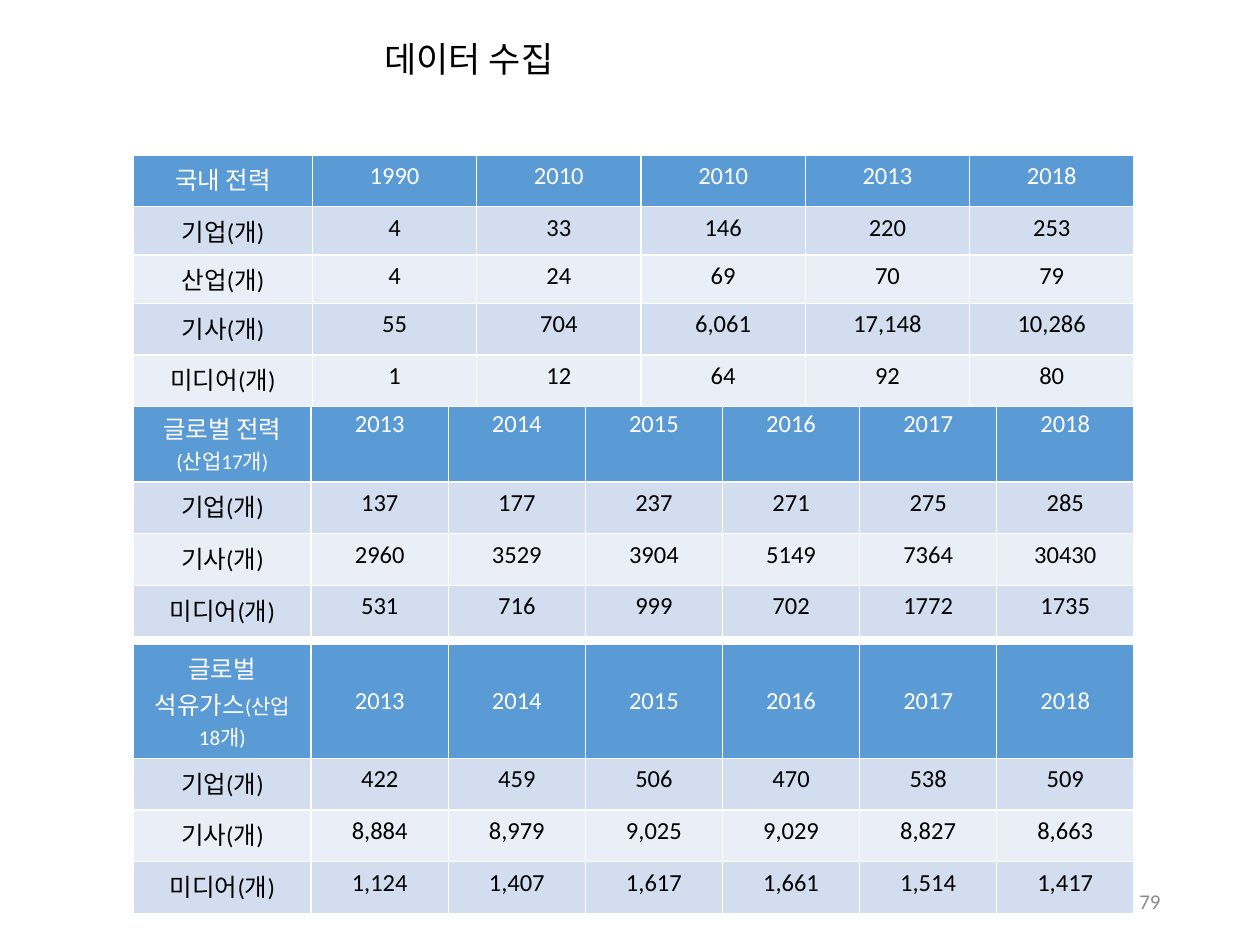
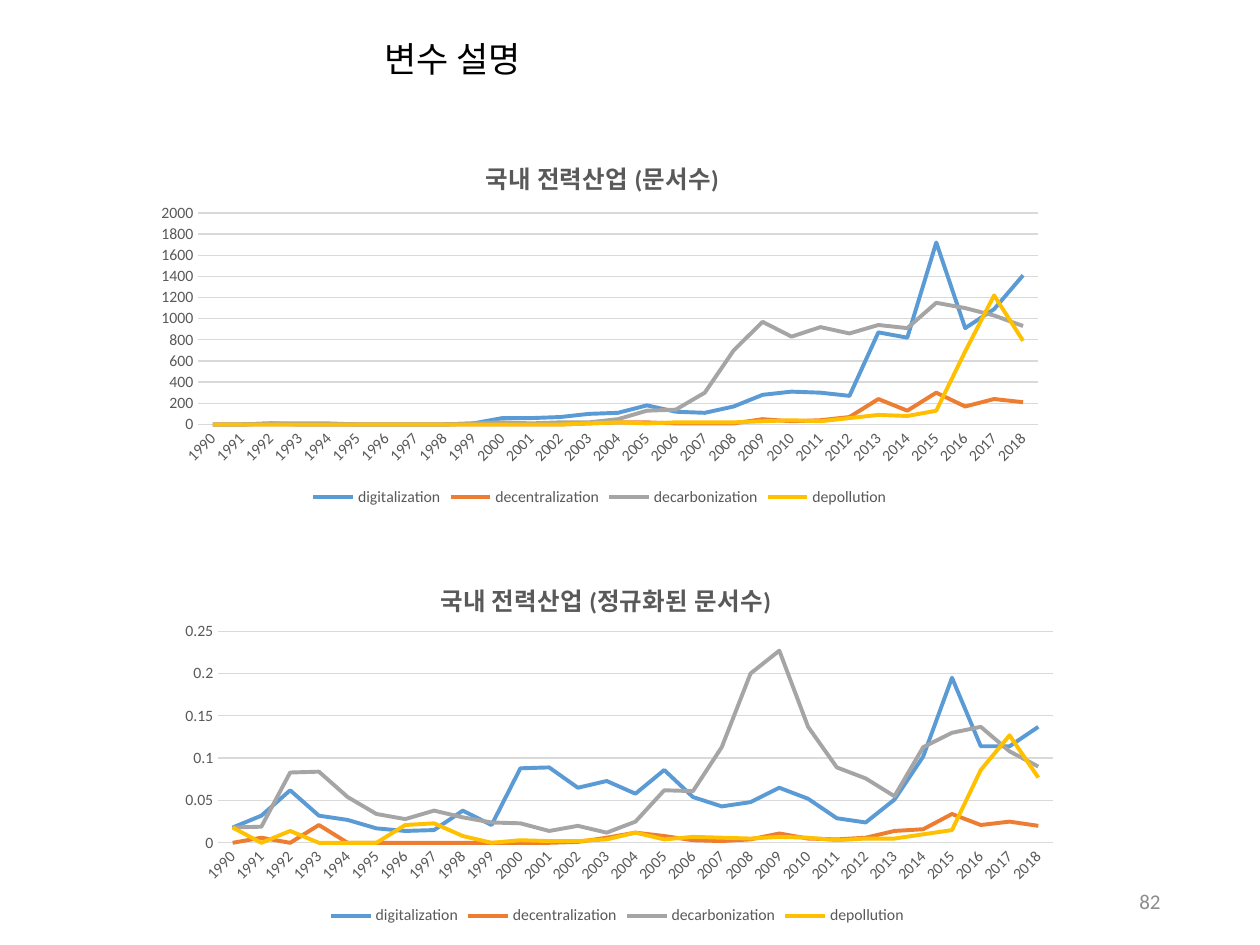
import pptx
import pptx.chart.data
import pptx.dml.color
import pptx.enum.chart
import pptx.enum.text
import pptx.oxml
import pptx.oxml.ns
import pptx.util

Inches = pptx.util.Inches
Align = pptx.enum.text.PP_ALIGN
Anchor = pptx.enum.text.MSO_ANCHOR
Tick = pptx.enum.chart.XL_TICK_MARK
hue = pptx.dml.color.RGBColor.from_string

BLUE, WHITE, BLACK = "5B9BD5", "FFFFFF", "000000"
BANDS = ["D2DEEF", "EAEFF7"]
GREY, RULE, PALE = "595959", "D9D9D9", "8C8C8C"
LINES = [BLUE, "ED7D31", "A5A5A5", "FFC000"]


def style(font, size, color, name="Calibri", bold=False):
    font.size = pptx.util.Pt(size)
    font.color.rgb = hue(color)
    font.name = name
    font.bold = bold


def place(parent, spot, **fracs):
    """Give a chart part a fixed spot, in fractions of the chart."""
    for old in parent.findall(pptx.oxml.ns.qn("c:layout")):
        parent.remove(old)
    inner = '<c:layoutTarget val="inner"/>' if "w" in fracs else ""
    modes = "".join(f'<c:{key}Mode val="edge"/>' for key in "xy")
    sizes = "".join(f'<c:{key} val="{val}"/>' for key, val in fracs.items())
    parent.insert(spot, pptx.oxml.parse_xml(
        f'<c:layout {pptx.oxml.ns.nsdecls("c")}><c:manualLayout>'
        f"{inner}{modes}{sizes}</c:manualLayout></c:layout>"))


deck = pptx.Presentation()
deck.slide_width, deck.slide_height = Inches(10), Inches(7.5)

# Shared frame: heading and page number
slides = []
for head, page in [("데이터 수집", "79"), ("변수 설명", "82")]:
    slide = deck.slides.add_slide(deck.slide_layouts[5])
    title = slide.shapes.title
    title.left, title.top = Inches(2.95), Inches(0.25)
    title.width, title.height = Inches(6.85), Inches(0.43)
    title.text = head
    number = slide.shapes.add_textbox(
        Inches(7.06), Inches(6.95), Inches(2.25), Inches(0.4))
    number.text_frame.text = page
    for shape, side, size, color, name in [
            (title, Align.LEFT, 20, BLACK, "Noto Sans CJK KR"),
            (number, Align.RIGHT, 12, PALE, "Calibri")]:
        frame = shape.text_frame
        frame.word_wrap = True
        frame.auto_size = pptx.enum.text.MSO_AUTO_SIZE.NONE
        frame.vertical_anchor = Anchor.MIDDLE
        frame.paragraphs[0].alignment = side
        style(frame.paragraphs[0].font, size, color, name)
    slides.append(slide)

# Slide 1: tables of collected data
# Each: top, first column width, header anchor, rows.
# A header cell may be a list of paragraphs, each a list of (text, size) runs.
SPAN = ["2013", "2014", "2015", "2016", "2017", "2018"]
FIRMS, NEWS, MEDIA = "기업(개)", "기사(개)", "미디어(개)"
TALL, LOW, WIDE = 0.41, 0.2, 7.94
tables = [
    (5.11, 1.41, Anchor.MIDDLE, [
        [[[("글로벌 석유가스", 14), ("(산업 18개)", 12)]], *SPAN],
        [FIRMS, "422", "459", "506", "470", "538", "509"],
        [NEWS, "8,884", "8,979", "9,025", "9,029", "8,827", "8,663"],
        [MEDIA, "1,124", "1,407", "1,617", "1,661", "1,514", "1,417"]]),
    (3.2, 1.41, Anchor.TOP, [
        [[[("글로벌 전력", 14)], [("(산업17개)", 12)]], *SPAN],
        [FIRMS, "137", "177", "237", "271", "275", "285"],
        [NEWS, "2960", "3529", "3904", "5149", "7364", "30430"],
        [MEDIA, "531", "716", "999", "702", "1772", "1735"]]),
    (1.23, 1.42, Anchor.TOP, [
        ["국내 전력", "1990", "2010", "2010", "2013", "2018"],
        [FIRMS, "4", "33", "146", "220", "253"],
        ["산업(개)", "4", "24", "69", "70", "79"],
        [NEWS, "55", "704", "6,061", "17,148", "10,286"],
        [MEDIA, "1", "12", "64", "92", "80"]]),
]
for top, first, anchor, rows in tables:
    count = len(rows[0])
    heights = [TALL] * len(rows)
    if len(rows) == 5:
        heights[1:3] = [LOW, LOW]
    table = slides[0].shapes.add_table(
        len(rows), count, Inches(1.06), Inches(top),
        Inches(WIDE), Inches(sum(heights))).table
    for col in range(count):
        width = (WIDE - first) / (count - 1) if col else first
        table.columns[col].width = Inches(width)
    for row, (height, texts) in enumerate(zip(heights, rows)):
        table.rows[row].height = Inches(height)
        for col, text in enumerate(texts):
            cell = table.cell(row, col)
            cell.fill.solid()
            cell.fill.fore_color.rgb = hue(BANDS[(row - 1) % 2] if row else BLUE)
            cell.vertical_anchor = Anchor.TOP if row else anchor
            paras = [[(text, 14)]] if isinstance(text, str) else text
            frame = cell.text_frame
            for spot, runs in enumerate(paras):
                para = frame.add_paragraph() if spot else frame.paragraphs[0]
                para.alignment = Align.CENTER
                for words, size in runs:
                    run = para.add_run()
                    run.text = words
                    style(run.font, size, BLACK if row else WHITE)

# Slide 2: line charts of the four themes
# A share is theme documents over all documents of the year,
# so the counts follow from the shares, rounded to tens.
YEARS = range(1990, 2019)
totals = [55, 150, 145, 95, 148, 118, 145, 130, 130, 290,
          700, 640, 1100, 1400, 1850, 2080, 2250, 2650, 3500, 4270,
          6050, 10340, 11300, 17148, 8060, 8820, 8010, 9580, 10286]
shares = {
    "digitalization": [
        0.018, 0.032, 0.062, 0.032, 0.027, 0.017, 0.014, 0.015, 0.038, 0.021,
        0.088, 0.089, 0.065, 0.073, 0.058, 0.086, 0.054, 0.043, 0.048, 0.065,
        0.052, 0.029, 0.024, 0.051, 0.102, 0.195, 0.114, 0.114, 0.137],
    "decentralization": [
        0, 0.006, 0, 0.021, *[0] * 8, 0.001, 0.006, 0.012,
        0.008, 0.003, 0.002, 0.004, 0.011, 0.005, 0.004, 0.006, 0.014, 0.016,
        0.034, 0.021, 0.025, 0.02],
    "decarbonization": [
        0.018, 0.019, 0.083, 0.084, 0.054, 0.034, 0.028, 0.038, 0.03, 0.024,
        0.023, 0.014, 0.02, 0.012, 0.025, 0.062, 0.061, 0.113, 0.2, 0.227,
        0.137, 0.089, 0.076, 0.055, 0.113, 0.13, 0.137, 0.108, 0.09],
    "depollution": [
        0.018, 0, 0.014, 0, 0, 0, 0.021, 0.023, 0.008, 0, 0.003, 0.002,
        0.002, 0.004, 0.012, 0.004, 0.007, 0.006, 0.005, 0.007, 0.006, 0.003,
        0.005, 0.005, 0.01, 0.015, 0.086, 0.127, 0.077],
}
counts = {name: [round(part * total / 10) * 10
                 for part, total in zip(parts, totals)]
          for name, parts in shares.items()}

# Each: heading, left, top, width, heading spot, axis top, axis step, values
charts = [
    ("국내 전력산업 (문서수)", 1.14, 1.06, 7.24, (0.37, 0.05),
     2000, 200, counts),
    ("국내 전력산업 (정규화된 문서수)", 1.3, 4.38, 7.2, (0.3, 0.06),
     0.25, 0.05, shares),
]
for head, left, top, width, spot, peak, step, values in charts:
    data = pptx.chart.data.CategoryChartData()
    data.categories = [str(year) for year in YEARS]
    for name, vals in values.items():
        data.add_series(name, vals)
    chart = slides[1].shapes.add_chart(
        pptx.enum.chart.XL_CHART_TYPE.LINE, Inches(left), Inches(top),
        Inches(width), Inches(3), data).chart
    style(chart.font, 10, BLACK)

    chart.has_title = True
    chart.chart_title.include_in_layout = False
    frame = chart.chart_title.text_frame
    frame.text = head
    style(frame.paragraphs[0].font, 14, GREY, bold=True)
    plot = chart.plots[0]
    place(chart.chart_title._element, 1, x=spot[0], y=spot[1])
    place(plot._element.getparent(), 0, x=0.06, y=0.21, w=0.92, h=0.56)

    chart.has_legend = True
    chart.legend.position = pptx.enum.chart.XL_LEGEND_POSITION.BOTTOM
    chart.legend.include_in_layout = False
    style(chart.legend.font, 9, GREY)

    years, scale = chart.category_axis, chart.value_axis
    for axis in (years, scale):
        axis.major_tick_mark = axis.minor_tick_mark = Tick.NONE
        style(axis.tick_labels.font, 9, GREY)
    years._element.txPr.bodyPr.set("rot", "-2700000")
    scale.minimum_scale, scale.maximum_scale = 0, peak
    scale.major_unit = step
    scale.tick_labels.number_format = "General"
    scale.tick_labels.number_format_is_linked = False
    scale.has_major_gridlines = True
    scale.format.line.fill.background()

    plot.vary_by_categories = False
    strokes = [(years.format.line, RULE, 0.75),
               (scale.major_gridlines.format.line, RULE, 0.75)]
    for series, color in zip(plot.series, LINES):
        series.smooth = False
        strokes.append((series.format.line, color, 2.25))
    for line, color, weight in strokes:
        line.color.rgb = hue(color)
        line.width = pptx.util.Pt(weight)

deck.save("out.pptx")
